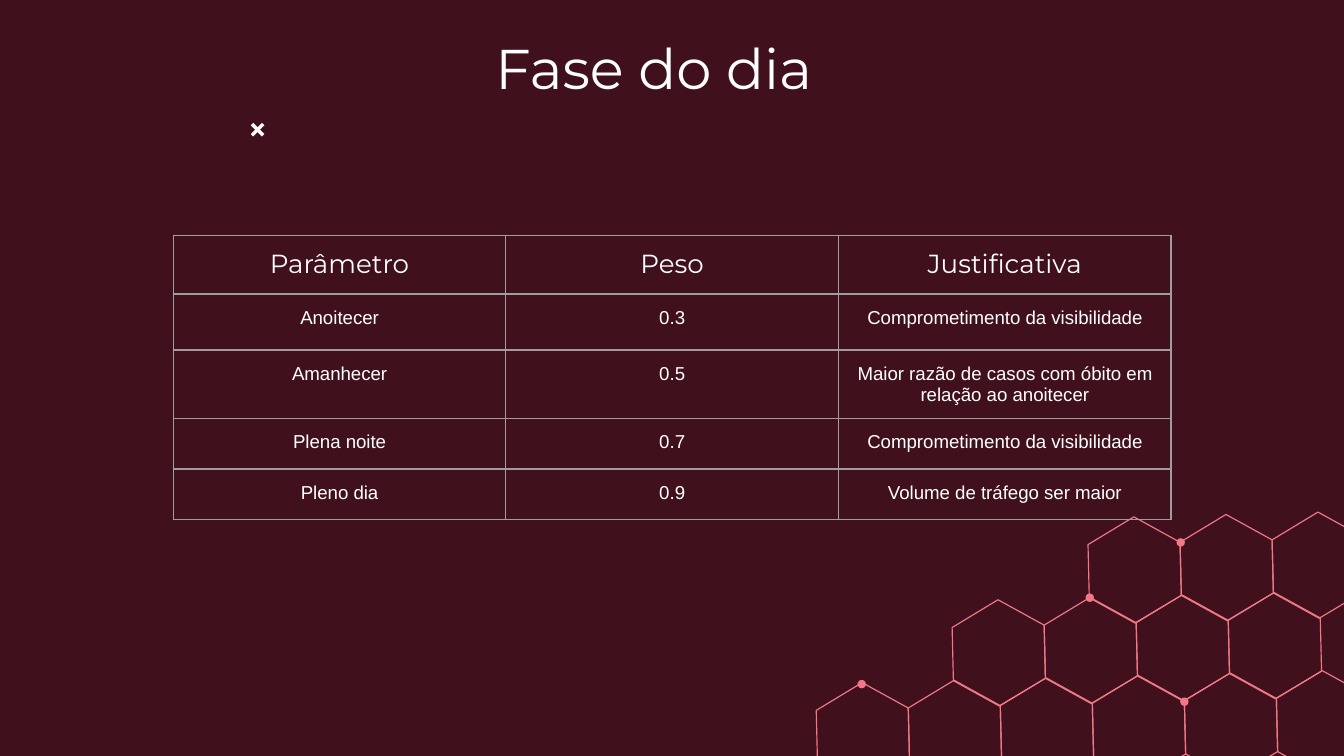
from lxml import etree
from pptx import Presentation
from pptx.dml.color import RGBColor
from pptx.enum.shapes import MSO_CONNECTOR, MSO_SHAPE
from pptx.enum.text import MSO_ANCHOR, MSO_AUTO_SIZE, PP_ALIGN
from pptx.oxml.ns import qn
from pptx.util import Pt

STRAIGHT = MSO_CONNECTOR.STRAIGHT
OVAL = MSO_SHAPE.OVAL
CENTER = PP_ALIGN.CENTER
TOP = MSO_ANCHOR.TOP
NO_FIT = MSO_AUTO_SIZE.NONE

MAROON, PINK, WHITE, GREY = "40101C", "F07887", "FFFFFF", "9E9E9E"
HEAD_FONT, BODY_FONT = "Montserrat", "Arial"
INSET = 7.2

STEP = (49.3, -1.28)
HEXAGON = [(0, 0), (0.7, 28.5), (25.2, 42), (50, 27.2), STEP, (24.6, -14.9)]
HEX_ROWS = [(145.6, 0, 3), (72.8, 44.4, 4), (0, 88.8, 6)]
DOTS = [(24.3, 74.7), (146.5, 28.4), (195.2, -1.2), (197.2, 84.1)]

ROWS = [
    ("Parâmetro", "Peso", "Justificativa"),
    ("Anoitecer", "0.3", "Comprometimento da visibilidade"),
    ("Amanhecer", "0.5", "Maior razão de casos com óbito em relação ao anoitecer"),
    ("Plena noite", "0.7", "Comprometimento da visibilidade"),
    ("Pleno dia", "0.9", "Volume de tráfego ser maior"),
]
ROW_HEIGHTS = [31, 30, 36.5, 27, 27]


def color(value):
    """Return the colour for a hex string."""
    return RGBColor.from_string(value)


def write(tf, text, size=10, font=BODY_FONT, fill=WHITE, align=CENTER):
    """Put one formatted line of text in a text frame."""
    tf.word_wrap = True
    p = tf.paragraphs[0]
    p.alignment = align
    r = p.add_run()
    r.text = text
    r.font.size, r.font.name, r.font.bold = Pt(size), font, False
    r.font.color.rgb = color(fill)


def add_title(s, x, y, w, h, text):
    """Place the title placeholder in its box."""
    sp = s.shapes.title
    sp.left, sp.top, sp.width, sp.height = Pt(x), Pt(y), Pt(w), Pt(h)
    tf = sp.text_frame
    tf.auto_size, tf.vertical_anchor = NO_FIT, TOP
    tf.margin_left = tf.margin_right = tf.margin_top = tf.margin_bottom = Pt(INSET)
    write(tf, text, size=30, font=HEAD_FONT)


def add_hexagon(s, x, y):
    """Outline one tilted hexagon from its upper left corner."""
    points = [(Pt(x + dx), Pt(y + dy)) for dx, dy in HEXAGON]
    fb = s.shapes.build_freeform(*points[0])
    fb.add_line_segments(points[1:], close=True)
    sp = fb.convert_to_shape()
    sp.shadow.inherit = False
    sp.fill.background()
    sp.line.color.rgb = color(PINK)
    sp.line.width = Pt(0.61)


def add_honeycomb(s, x, y, dot=4.5):
    """Draw the rows of hexagons and the dots on their corners."""
    for dx, dy, count in HEX_ROWS:
        for i in range(count):
            add_hexagon(s, x + dx + i * STEP[0], y + dy + i * STEP[1])
    for dx, dy in DOTS:
        sp = s.shapes.add_shape(
            OVAL, Pt(x + dx - dot / 2), Pt(y + dy - dot / 2), Pt(dot), Pt(dot))
        sp.shadow.inherit = False
        sp.fill.solid()
        sp.fill.fore_color.rgb = color(PINK)
        sp.line.fill.background()


def add_cross(s, x, y, size):
    """Draw two crossing diagonals in a square."""
    for y1, y2 in ((y + size, y), (y, y + size)):
        c = s.shapes.add_connector(STRAIGHT, Pt(x), Pt(y1), Pt(x + size), Pt(y2))
        c.line.color.rgb = color(WHITE)
        c.line.width = Pt(1.84)
        etree.SubElement(c._element.spPr, qn("a:effectLst"))


def add_borders(cell, width=0.75):
    """Draw a grey line on the four sides of a cell."""
    tc_pr = cell._tc.get_or_add_tcPr()
    for i, side in enumerate(("lnL", "lnR", "lnT", "lnB")):
        ln = etree.Element(qn(f"a:{side}"), w=str(Pt(width)))
        fill = etree.SubElement(ln, qn("a:solidFill"))
        etree.SubElement(fill, qn("a:srgbClr"), val=GREY)
        tc_pr.insert(i, ln)


def add_weights(s, x, y, w):
    """Build the table of parameters, weights and reasons."""
    cols = len(ROWS[0])
    table = s.shapes.add_table(
        len(ROWS), cols, Pt(x), Pt(y), Pt(w), Pt(sum(ROW_HEIGHTS))).table
    table.first_row = table.horz_banding = False
    for col in table.columns:
        col.width = Pt(w / cols)
    for i, (texts, height) in enumerate(zip(ROWS, ROW_HEIGHTS)):
        table.rows[i].height = Pt(height)
        style = {} if i else {"size": 14, "font": HEAD_FONT}
        for j, text in enumerate(texts):
            cell = table.cell(i, j)
            cell.fill.background()
            cell.margin_left = cell.margin_right = Pt(INSET)
            cell.margin_top = cell.margin_bottom = Pt(INSET)
            write(cell.text_frame, text, **style)
            add_borders(cell)


def main():
    """Build the slide and save it."""
    prs = Presentation()
    prs.slide_width, prs.slide_height = Pt(720), Pt(405)
    s = prs.slides.add_slide(prs.slide_layouts[5])
    s.background.fill.solid()
    s.background.fill.fore_color.rgb = color(MAROON)
    add_honeycomb(s, 437.3, 291.8)
    add_title(s, 46.8, 10.8, 607, 39.6, "Fase do dia")
    add_cross(s, 135, 66.5, 6)
    add_weights(s, 92.8, 126, 534.6)
    prs.save("out.pptx")


if __name__ == "__main__":
    main()
